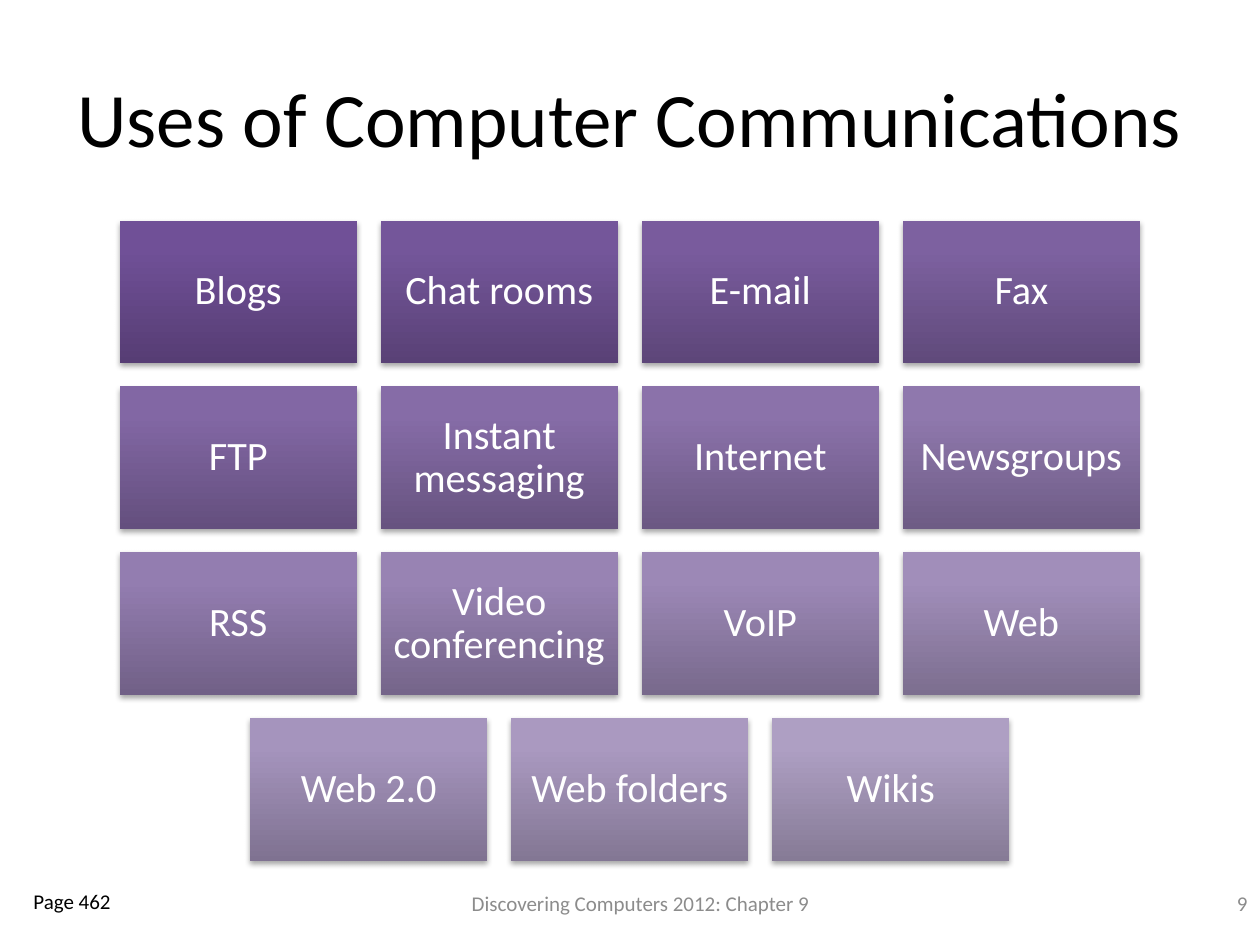
import copy

import pptx
import pptx.dml.color
import pptx.enum.shapes
import pptx.enum.text
import pptx.oxml
import pptx.oxml.ns
import pptx.util

RGB = pptx.dml.color.RGBColor
ALIGN = pptx.enum.text.PP_ALIGN
ANCHOR = pptx.enum.text.MSO_ANCHOR

BLACK = RGB(0x00, 0x00, 0x00)
WHITE = RGB(0xFF, 0xFF, 0xFF)
GREY = RGB(0x8C, 0x8C, 0x8C)

# Gradient stops from bottom to top: position, first tile colour, last tile colour
TILE_STOPS = [
    (0.0, RGB(0x56, 0x3D, 0x74), RGB(0x86, 0x7B, 0x96)),
    (0.8, RGB(0x70, 0x50, 0x97), RGB(0xAE, 0x9F, 0xC3)),
    (1.0, RGB(0x70, 0x4F, 0x99), RGB(0xAE, 0x9F, 0xC4)),
]
SHADOW = (
    f'<a:effectLst {pptx.oxml.ns.nsdecls("a")}>'
    '<a:outerShdw blurRad="40000" dist="23000" dir="5400000" rotWithShape="0">'
    '<a:srgbClr val="000000"><a:alpha val="35000"/></a:srgbClr>'
    '</a:outerShdw></a:effectLst>'
)

USES = [
    ["Blogs", "Chat rooms", "E-mail", "Fax"],
    ["FTP", "Instant messaging", "Internet", "Newsgroups"],
    ["RSS", "Video conferencing", "VoIP", "Web"],
    ["Web 2.0", "Web folders", "Wikis"],
]
# Tile layout in grid units
TILE_LEFT, TILE_TOP = 5.7, 10.5
TILE_WIDTH, TILE_HEIGHT = 11.3, 6.8
TILE_COLUMN_STEP, TILE_ROW_STEP = 12.43, 7.9


def blend(first, last, share):
    return RGB(*(round(a + (b - a) * share) for a, b in zip(first, last)))


class SlideBuilder:
    """Places elements on a grid of 60 columns by 45 rows."""

    font = "Calibri"
    columns, rows = 60, 45

    def __init__(self, deck):
        self.slide = deck.slides.add_slide(deck.slide_layouts[6])
        self.column = deck.slide_width / self.columns
        self.row = deck.slide_height / self.rows

    def place(self, left, top, width, height):
        return (round(left * self.column), round(top * self.row),
                round(width * self.column), round(height * self.row))

    def fill_text(self, box, text, size, color, align, anchor, spacing=1.0):
        frame = box.text_frame
        frame.word_wrap = True
        frame.vertical_anchor = anchor
        para = frame.paragraphs[0]
        para.alignment = align
        para.line_spacing = spacing
        span = para.add_run()
        span.text = text
        formats = {"name": self.font, "size": pptx.util.Pt(size)}
        for name, value in formats.items():
            setattr(span.font, name, value)
        span.font.color.rgb = color
        return frame

    def label(self, area, text, size, color, align, anchor=ANCHOR.MIDDLE):
        box = self.slide.shapes.add_textbox(*self.place(*area))
        self.fill_text(box, text, size, color, align, anchor)

    def tile(self, area, text, share):
        """Draw a shaded tile; share runs from 0 (darkest) to 1 (lightest)."""
        box = self.slide.shapes.add_shape(
            pptx.enum.shapes.MSO_SHAPE.RECTANGLE, *self.place(*area))
        box.line.fill.background()
        box.fill.gradient()
        box.fill.gradient_angle = 90
        stop_list = box._element.spPr.find(".//" + pptx.oxml.ns.qn("a:gsLst"))
        stop_list.append(copy.deepcopy(stop_list[-1]))
        for stop, (position, first, last) in zip(box.fill.gradient_stops, TILE_STOPS):
            stop.position = position
            stop.color.rgb = blend(first, last, share)
        box._element.spPr.append(pptx.oxml.parse_xml(SHADOW))
        frame = self.fill_text(box, text, 23, WHITE, ALIGN.CENTER, ANCHOR.MIDDLE, 0.9)
        for side in ("left", "top", "right", "bottom"):
            setattr(frame, f"margin_{side}", pptx.util.Inches(0.1))

    def tile_grid(self, lines):
        """Lay out lines of tiles, centring any line shorter than the first."""
        last = sum(map(len, lines)) - 1
        number = 0
        for row, line in enumerate(lines):
            offset = (len(lines[0]) - len(line)) / 2
            for column, text in enumerate(line):
                area = (TILE_LEFT + (column + offset) * TILE_COLUMN_STEP,
                        TILE_TOP + row * TILE_ROW_STEP, TILE_WIDTH, TILE_HEIGHT)
                self.tile(area, text, number / last)
                number += 1


def main():
    deck = pptx.Presentation()
    deck.slide_width = pptx.util.Inches(10)
    deck.slide_height = pptx.util.Inches(7.5)
    page = SlideBuilder(deck)
    page.label((3, 1.8, 54, 7.5), "Uses of Computer Communications", 44, BLACK, ALIGN.CENTER)
    page.tile_grid(USES)
    page.label((18, 41.5, 25, 3), "Discovering Computers 2012: Chapter 9", 12, GREY, ALIGN.CENTER)
    page.label((56, 41, 4, 4), "9", 12, GREY, ALIGN.RIGHT)
    page.label((1, 42, 11, 3), "Page 462", 12, BLACK, ALIGN.LEFT, ANCHOR.TOP)
    deck.save("out.pptx")


if __name__ == "__main__":
    main()
